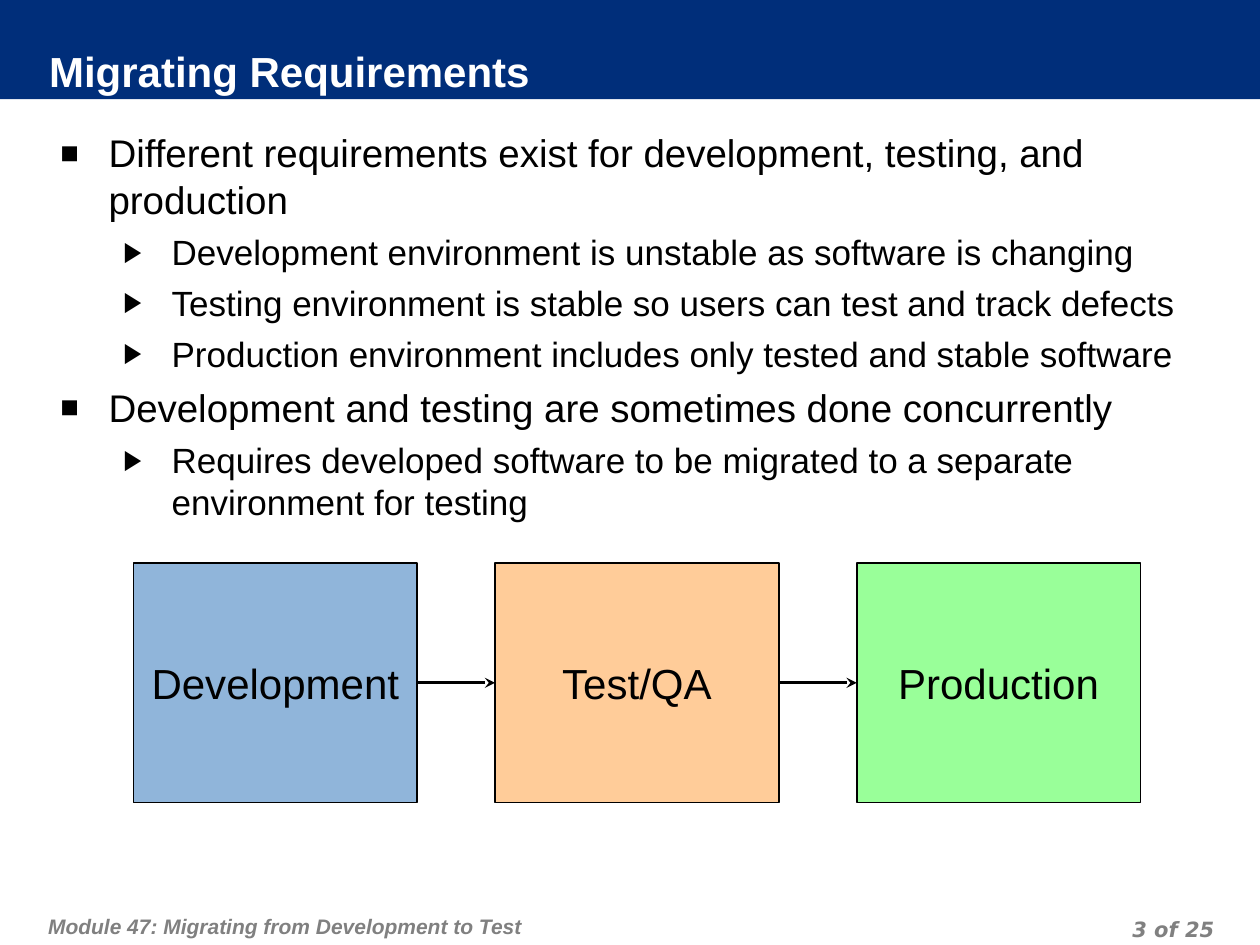
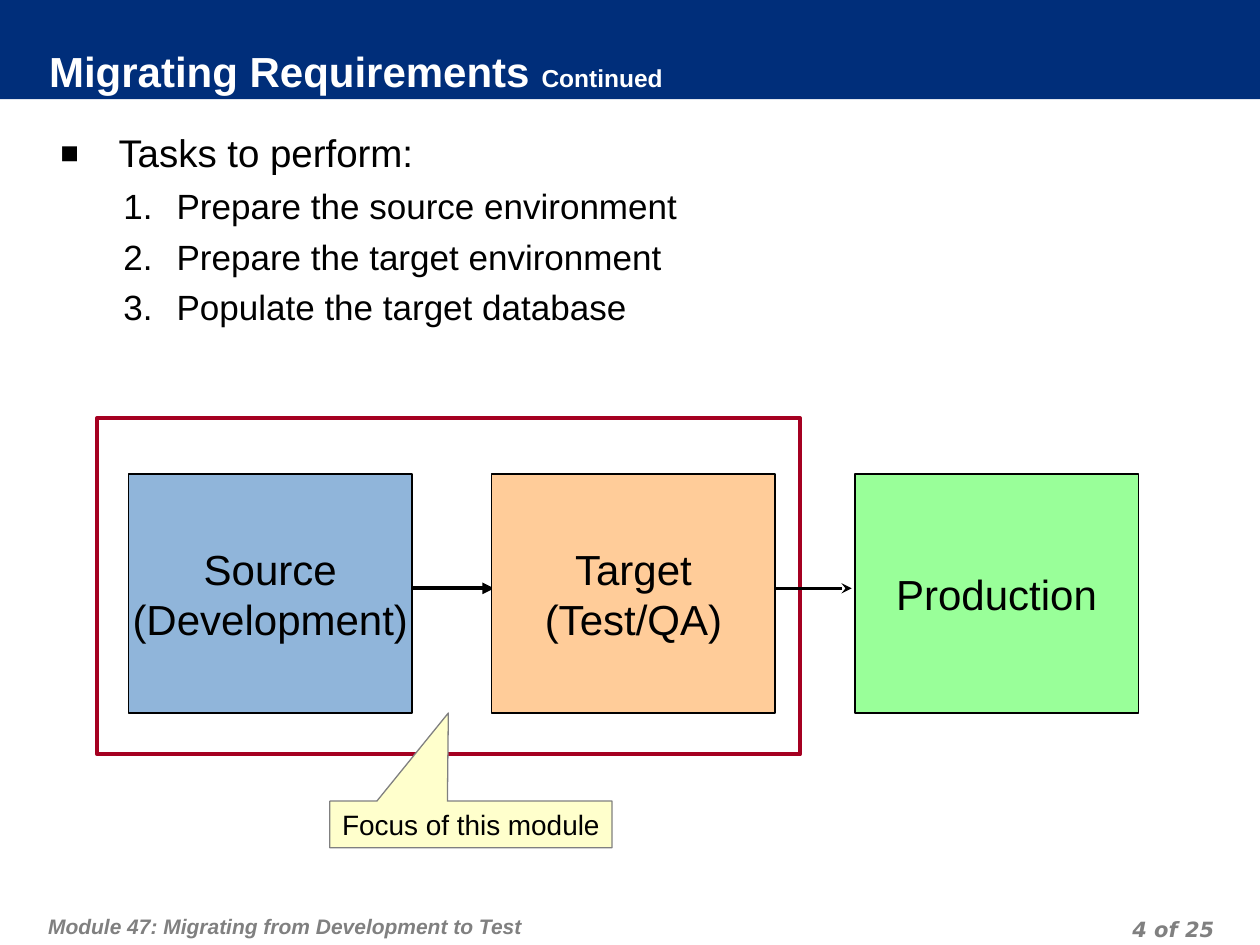
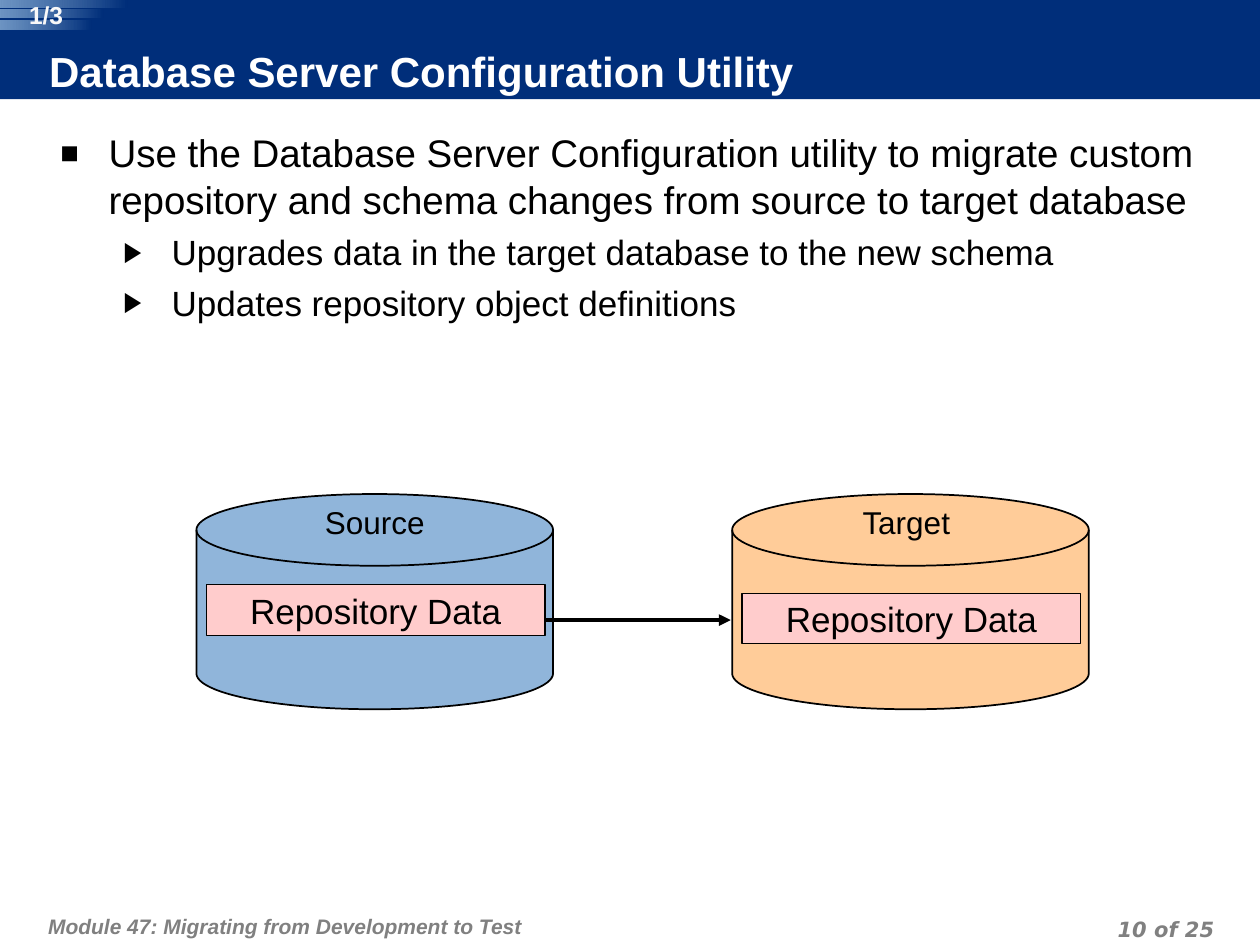
from dataclasses import dataclass

from lxml.etree import SubElement
from pptx import Presentation
from pptx.dml.color import RGBColor
from pptx.enum.shapes import MSO_CONNECTOR as Connector, MSO_SHAPE as Preset
from pptx.enum.text import MSO_ANCHOR as Anchor, MSO_AUTO_SIZE as AutoSize, PP_ALIGN as Align
from pptx.oxml.ns import qn
from pptx.util import Cm, Pt

NAVY, BLACK, WHITE, GRAY = "002E7A", "000000", "FFFFFF", "808080"
BLUE, ORANGE, GREEN = "90B5DA", "FFCC99", "99FF99"
PINK, YELLOW, CRIMSON, PALE = "FFCCCC", "FFFFCC", "A50021", "F8F8F8"
MODULE = "Module 47: Migrating from Development to Test"
SLIDE_COUNT = 25
INSETS = (0.25, 0.13, 0.25, 0.13)


@dataclass(frozen=True)
class Box:
    left: float
    top: float
    width: float
    height: float

    def lengths(self) -> tuple:
        return Cm(self.left), Cm(self.top), Cm(self.width), Cm(self.height)


@dataclass(frozen=True)
class ListStyle:
    level: int
    size: float
    before: float
    indent: float
    hanging: float
    marker: str = ""
    scale: int = 100


@dataclass(frozen=True)
class Stage:
    lines: tuple
    color: str


@dataclass(frozen=True)
class Store:
    label: str
    color: str
    left: float
    label_width: float
    data_top: float


TOPIC = ListStyle(0, 22, 5.5, 0.97, 0.97, "■", 80)
DETAIL = ListStyle(1, 20, 5, 2.24, 0.97, "▶", 80)
TASK_TOPIC = ListStyle(0, 22, 5.5, 1.17, 1.17, "■", 80)
TASK = ListStyle(1, 20, 5, 2.34, 1.07)


def rgb(color: str) -> RGBColor:
    return RGBColor.from_string(color)


def write(paragraph, text: str, *, size: float, color: str = BLACK, bold: bool = False,
          italic: bool = False, face: str = "Arial", align=Align.LEFT) -> None:
    paragraph.alignment = align
    run = paragraph.add_run()
    run.text = text
    font = run.font
    font.name, font.size, font.bold, font.italic = face, Pt(size), bold, italic
    font.color.rgb = rgb(color)


def set_frame(frame, insets=INSETS, anchor=Anchor.TOP, wrap: bool = True) -> None:
    frame.margin_left, frame.margin_top, frame.margin_right, frame.margin_bottom = map(Cm, insets)
    frame.vertical_anchor = anchor
    frame.word_wrap = wrap
    frame.auto_size = AutoSize.NONE


def add_preset(shapes, preset, box: Box, fill: str = "", line: str = "", weight: float = 1):
    shape = shapes.add_shape(preset, *box.lengths())
    shape.shadow.inherit = False
    if fill:
        shape.fill.solid()
        shape.fill.fore_color.rgb = rgb(fill)
    else:
        shape.fill.background()
    if line:
        shape.line.color.rgb = rgb(line)
        shape.line.width = Pt(weight)
    else:
        shape.line.fill.background()
    return shape


def caption(shape, lines: tuple, size: float) -> None:
    frame = shape.text_frame
    set_frame(frame, anchor=Anchor.MIDDLE, wrap=False)
    for index, line in enumerate(lines):
        paragraph = frame.add_paragraph() if index else frame.paragraphs[0]
        write(paragraph, line, size=size, align=Align.CENTER)


def add_label(shapes, box: Box, text: str, insets: tuple, **style):
    label = shapes.add_textbox(*box.lengths())
    set_frame(label.text_frame, insets)
    paragraph = label.text_frame.paragraphs[0]
    write(paragraph, text, **style)
    return paragraph


def add_arrow(shapes, start: tuple, end: tuple, head: str, weight: float):
    arrow = shapes.add_connector(Connector.STRAIGHT, *map(Cm, start + end))
    arrow.line.color.rgb = rgb(BLACK)
    arrow.line.width = Pt(weight)
    properties = arrow.element.spPr
    SubElement(properties.find(qn("a:ln")), qn("a:tailEnd"), type=head)
    SubElement(properties, qn("a:effectLst"))
    return arrow


def add_marker(paragraph, style: ListStyle) -> None:
    properties = paragraph._p.get_or_add_pPr()
    properties.set("marL", str(Cm(style.indent)))
    properties.set("indent", str(-Cm(style.hanging)))
    tint = SubElement(properties, qn("a:buClr"))
    SubElement(tint, qn("a:srgbClr"), val=BLACK)
    SubElement(properties, qn("a:buSzPct"), val=str(style.scale * 1000))
    SubElement(properties, qn("a:buFont"), typeface="Arial")
    if style.marker:
        SubElement(properties, qn("a:buChar"), char=style.marker)
    else:
        SubElement(properties, qn("a:buAutoNum"), type="arabicPeriod")


def add_points(shapes, points: list) -> None:
    body = shapes.add_textbox(*Box(0.97, 2.36, 23.62, 15.7).lengths())
    frame = body.text_frame
    set_frame(frame, (0.25, 0.25, 0.25, 0.13))
    for index, (style, text) in enumerate(points):
        paragraph = frame.add_paragraph() if index else frame.paragraphs[0]
        paragraph.level = style.level
        add_marker(paragraph, style)
        if index:
            paragraph.space_before = Pt(style.before)
        write(paragraph, text, size=style.size)


def add_page(deck, number: int, heading: str, points: list, suffix: str = ""):
    slide = deck.slides.add_slide(deck.slide_layouts[5])
    shapes = slide.shapes
    title = shapes.title
    band = add_preset(shapes, Preset.RECTANGLE, Box(0, 0, 25.4, 2), NAVY)
    title.element.addprevious(band.element)
    title.left, title.top, title.width, title.height = Box(0.99, 0.97, 23.29, 1.02).lengths()
    title.fill.solid()
    title.fill.fore_color.rgb = rgb(NAVY)
    set_frame(title.text_frame, (0, 0, 0.13, 0.13), Anchor.MIDDLE)
    title_line = title.text_frame.paragraphs[0]
    write(title_line, heading, size=24, color=WHITE, bold=True)
    if suffix:
        write(title_line, suffix, size=14, color=WHITE, bold=True)
    footer_style = dict(size=12, color=GRAY, bold=True, italic=True)
    footer = add_label(shapes, Box(0.84, 18.03, 15.7, 1.02), MODULE,
                       (0.13, 0.25, 0.13, 0.13), **footer_style)
    counter = add_label(shapes, Box(18.69, 18.34, 5.92, 0.64), f"{number} of {SLIDE_COUNT}",
                        (0.13, 0, 0.13, 0), face="DejaVu Sans", align=Align.RIGHT, **footer_style)
    footer.line_spacing = counter.line_spacing = Pt(18)
    add_points(shapes, points)
    return shapes


def add_stage(shapes, stage: Stage, left: float, top: float):
    block = add_preset(shapes, Preset.FLOWCHART_PROCESS, Box(left, top, 5.72, 4.83), stage.color, BLACK)
    caption(block, stage.lines, 24)
    return block


def build_requirements(deck) -> None:
    shapes = add_page(deck, 3, "Migrating Requirements", [
        (TOPIC, "Different requirements exist for development, testing, and production"),
        (DETAIL, "Development environment is unstable as software is changing"),
        (DETAIL, "Testing environment is stable so users can test and track defects"),
        (DETAIL, "Production environment includes only tested and stable software"),
        (TOPIC, "Development and testing are sometimes done concurrently"),
        (DETAIL, "Requires developed software to be migrated to a separate environment for testing"),
    ])
    stages = [Stage(("Development",), BLUE), Stage(("Test/QA",), ORANGE), Stage(("Production",), GREEN)]
    blocks = [add_stage(shapes, stage, 2.69 + 7.29 * index, 11.35) for index, stage in enumerate(stages)]
    for before, after in zip(blocks, blocks[1:]):
        arrow = add_arrow(shapes, (0, 0), (1, 0), "stealth", 1.75)
        arrow.begin_connect(before, 3)
        arrow.end_connect(after, 1)


def build_tasks(deck) -> None:
    shapes = add_page(deck, 4, "Migrating Requirements ", [
        (TASK_TOPIC, "Tasks to perform:"),
        (TASK, "Prepare the source environment"),
        (TASK, "Prepare the target environment"),
        (TASK, "Populate the target database"),
    ], "Continued")
    first_left, pitch, top, flow = 2.59, 7.32, 9.55, 11.86
    add_stage(shapes, Stage(("Production",), GREEN), first_left + 2 * pitch, top)
    add_preset(shapes, Preset.RECTANGLE, Box(1.96, 8.43, 14.17, 6.78), line=CRIMSON, weight=2.25)
    focus = add_preset(shapes, Preset.RECTANGULAR_CALLOUT, Box(6.65, 16.15, 5.69, 0.94), YELLOW, GRAY, 0.75)
    focus.adjustments[0], focus.adjustments[1] = -0.08, -2.39
    caption(focus, ("Focus of this module",), 16)
    add_arrow(shapes, (8.26, flow), (9.96, flow), "triangle", 2.25)
    add_arrow(shapes, (15.49, flow), (17.17, flow), "stealth", 1.75)
    add_stage(shapes, Stage(("Source", "(Development)"), BLUE), first_left, top)
    add_stage(shapes, Stage(("Target", "(Test/QA)"), ORANGE), first_left + pitch, top)


def add_progress(shapes, text: str) -> None:
    badge = shapes.add_group_shape().shapes
    for top, width, height in ((0, 2.57, 0.15), (0.2, 2.08, 0.15), (0.41, 1.85, 0.18)):
        stripe = add_preset(badge, Preset.ROUNDED_RECTANGLE, Box(0, top, width, height), NAVY)
        stripe.adjustments[0] = 0
        stripe.fill.gradient()
        stripe.fill.gradient_angle = 180
        for stop, color in zip(stripe.fill.gradient_stops, (NAVY, BLUE)):
            stop.color.rgb = rgb(color)
        glow = stripe.element.spPr.findall(".//" + qn("a:srgbClr"))[-1]
        SubElement(glow, qn("a:alpha"), val="76000")
    add_label(badge, Box(0.28, 0, 1.3, 0.58), text, (0, 0, 0, 0),
              size=14, color=PALE, bold=True, align=Align.CENTER)


def build_utility(deck) -> None:
    shapes = add_page(deck, 10, "Database Server Configuration Utility", [
        (TOPIC, "Use the Database Server Configuration utility to migrate custom "
                "repository and schema changes from source to target database"),
        (DETAIL, "Upgrades data in the target database to the new schema"),
        (DETAIL, "Updates repository object definitions"),
    ])
    add_progress(shapes, "1/3")
    stores = [Store("Source", BLUE, 3.96, 2.51, 11.79), Store("Target", ORANGE, 14.76, 2.34, 11.96)]
    for store in stores:
        add_preset(shapes, Preset.FLOWCHART_MAGNETIC_DISK, Box(store.left, 9.96, 7.19, 4.34),
                   store.color, BLACK)
    add_arrow(shapes, (9.27, 12.5), (14.73, 12.5), "triangle", 2.25)
    for store in stores:
        add_label(shapes, Box(store.left + 2.34, 10.01, store.label_width, 1.02), store.label,
                  (0, 0.13, 0, 0.13), size=18, align=Align.CENTER)
        data = add_preset(shapes, Preset.RECTANGLE, Box(store.left + 0.2, store.data_top, 6.83, 1.02),
                          PINK, BLACK, 0.75)
        caption(data, ("Repository Data",), 20)


def main() -> None:
    deck = Presentation()
    deck.slide_width, deck.slide_height = Cm(25.4), Cm(19.05)
    build_requirements(deck)
    build_tasks(deck)
    build_utility(deck)
    deck.save("out.pptx")


if __name__ == "__main__":
    main()
